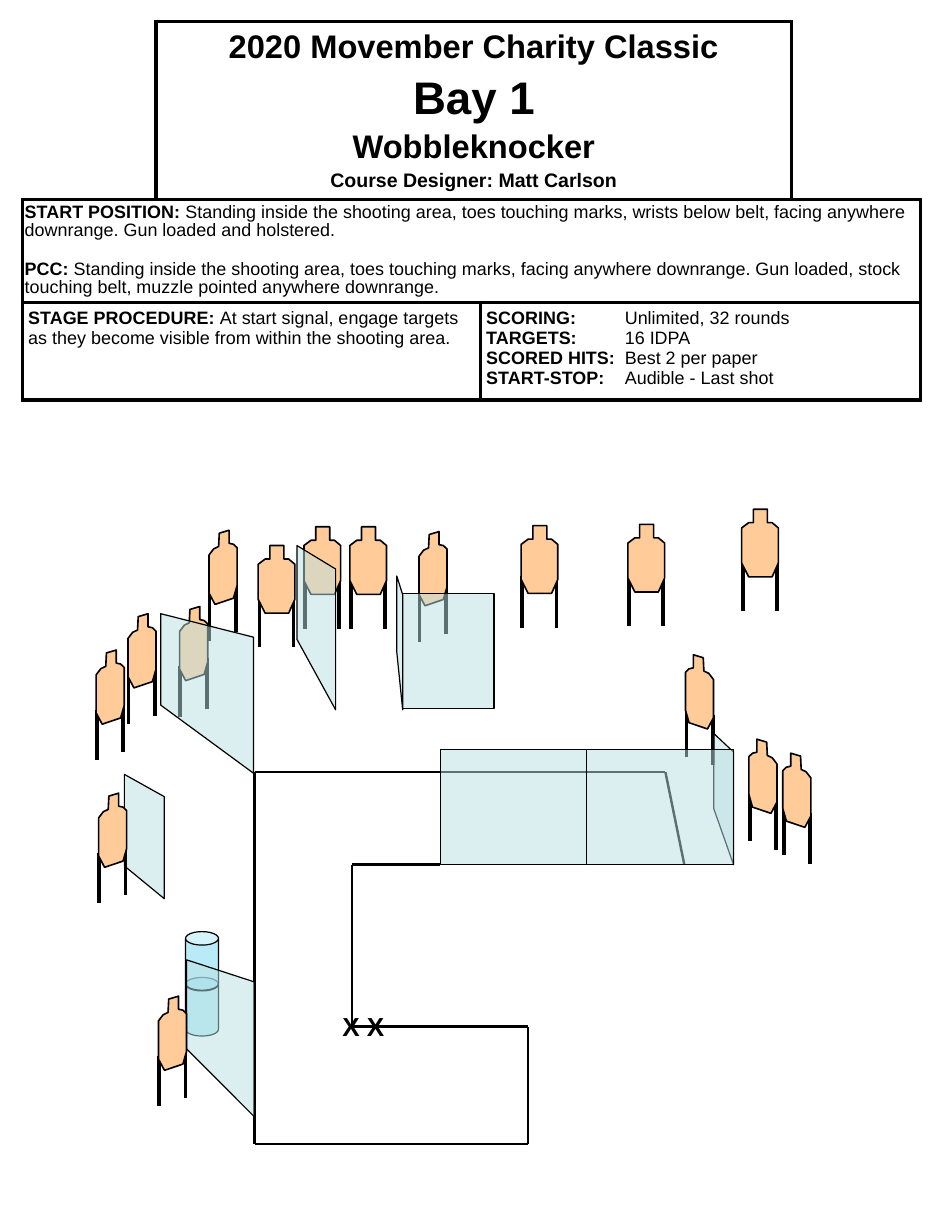
from lxml import etree
from pptx import Presentation
from pptx.dml.color import RGBColor
from pptx.enum.shapes import MSO_CONNECTOR, MSO_SHAPE
from pptx.enum.text import MSO_ANCHOR, PP_ALIGN
from pptx.oxml.ns import qn
from pptx.util import Pt

CAN = MSO_SHAPE.CAN
STRAIGHT = MSO_CONNECTOR.STRAIGHT
MIDDLE, TOP = MSO_ANCHOR.MIDDLE, MSO_ANCHOR.TOP
CENTER, LEFT = PP_ALIGN.CENTER, PP_ALIGN.LEFT

FONT = "Arial"
BLACK, WHITE, TAN, GLASS, BARREL = "000000", "FFFFFF", "FFCC99", "BBE0E3", "73D9F1"

HEADINGS = [("2020 Movember Charity Classic", 20, 0), ("Bay 1", 28, 4.5),
            ("Wobbleknocker", 20, 3), ("Course Designer: Matt Carlson", 12, 3)]
START = [
    ("START POSITION:", " Standing inside the shooting area, toes touching marks, wrists below belt, "
     "facing anywhere downrange. Gun loaded and holstered.", 0),
    ("PCC: ", "Standing inside the shooting area, toes touching marks, facing anywhere downrange. "
     "Gun loaded, stock touching belt, muzzle pointed anywhere downrange.", 13),
]
PROCEDURE = [("STAGE PROCEDURE: ", "At start signal, engage targets as they become visible "
              "from within the shooting area.", 0)]
SCORING = [("SCORING:", "\tUnlimited, 32 rounds", 0), ("TARGETS:", "\t16 IDPA", 0),
           ("SCORED HITS:", "\tBest 2 per paper", 0), ("START-STOP:", "\tAudible - Last shot", 0)]

TABLE_AT = (13.7, 13)
COLUMNS = [82, 199, 191, 79]
ROWS = [109.5, 63, 60]
MERGES = [((0, 1), (0, 2)), ((1, 0), (1, 3)), ((2, 0), (2, 1)), ((2, 2), (2, 3))]
CORNER_BORDERS = {(0, 0): "RB", (0, 3): "LB"}

FRONT = {
    "outline": [(7.2, 0), (15.8, 0), (15.8, 8.3), (18.7, 8.3), (22.5, 11.5), (22.5, 33),
                (18.7, 41.5), (4.3, 41.5), (0, 33), (0, 11.5), (4.3, 8.3), (7.2, 8.3)],
    "legs": [(0.7, 31, 62.5), (21.6, 31, 62.5)],
}
TURNED = {
    "outline": [(6.3, 1.8), (12.3, 0), (12.3, 8), (15, 8.6), (17.2, 10.7), (17.2, 34),
                (15, 41.7), (3.7, 45.5), (0, 38.6), (0, 15.2), (2.9, 11.4), (5.9, 10)],
    "legs": [(0.4, 36.7, 67.7), (16.6, 31.7, 62.7)],
}
MIRRORED = {
    "outline": [(17.2 - x, y) for x, y in TURNED["outline"]],
    "legs": [(17.2 - x, top, bottom) for x, top, bottom in TURNED["legs"]],
}

BARRELS = [(113.8, 599.8), (113.8, 571.7)]
BARREL_SIZE = (20.2, 36)
MARKS = ("X X", 203, 616.3, 41.8, 26.6)

BACK_SCENE = [
    ("target", TURNED, 257, 326.2), ("target", MIRRORED, 420.5, 401.8),
    ("target", TURNED, 128.2, 325.4), ("target", FRONT, 158.4, 334.8),
    ("target", TURNED, 110.2, 372.2),
    ("line", 156.2, 473.8, 408.2, 473.8), ("line", 408.2, 473.8, 419.8, 530.6),
]
FRONT_SCENE = [
    ("line", 156.2, 702, 324, 702),
    ("wall", 437.8, 450, 496.1, 450, 461.5, 530.6),
    ("wall", 360, 460.1, 530.6, 450, 460.1, 530.6),
    ("wall", 270, 460.1, 530.6, 360, 460.1, 530.6),
    ("line", 324, 630, 324, 702), ("line", 216, 630, 324, 630),
    ("line", 156.2, 473.8, 156.2, 702), ("line", 216, 530.6, 216, 630),
    ("line", 216, 530.6, 270, 530.6),
    ("wall", 114.5, 589, 643.7, 156.2, 602.6, 685.4),
    ("target", TURNED, 97.2, 611.3),
    ("wall", 98.6, 376.6, 432.7, 155.5, 391, 474.5),
    ("target", TURNED, 78.5, 376.6),
    ("wall", 247, 364.3, 434.9, 303.1, 364.3, 434.9),
    ("wall", 243.4, 353.5, 400.3, 247, 365, 435.6),
    ("target", FRONT, 186.5, 323.3), ("target", FRONT, 214.6, 323.3),
    ("wall", 182.2, 334.8, 392.4, 205.9, 349.2, 435.6),
    ("wall", 76.3, 475.2, 531.4, 100.8, 488.9, 551.5),
    ("target", TURNED, 60.5, 486.7), ("target", FRONT, 319.7, 322.6),
    ("target", FRONT, 455, 312.5), ("target", MIRRORED, 459.4, 453.6),
    ("target", MIRRORED, 480.2, 462.2), ("target", FRONT, 385.2, 321.8),
    ("target", TURNED, 59, 398.9),
]


def paint(color_format, color):
    color_format.rgb = RGBColor.from_string(color)


def style(shape, fill, width, alpha=None):
    shape.shadow.inherit = False
    shape.fill.solid()
    paint(shape.fill.fore_color, fill)
    paint(shape.line.color, BLACK)
    shape.line.width = Pt(width)
    if alpha:
        color = shape.element.spPr.find(qn("a:solidFill")).find(qn("a:srgbClr"))
        etree.SubElement(color, qn("a:alpha"), val=str(alpha * 1000))


def draw_line(shapes, x1, y1, x2, y2, width=1.5):
    line = shapes.add_connector(STRAIGHT, Pt(x1), Pt(y1), Pt(x2), Pt(y2))
    paint(line.line.color, BLACK)
    line.line.width = Pt(width)
    etree.SubElement(line.element.spPr, qn("a:effectLst"))


def draw_outline(shapes, points, fill, width, alpha=None):
    corners = [(Pt(x), Pt(y)) for x, y in points]
    builder = shapes.build_freeform(*corners[0])
    builder.add_line_segments(corners[1:], close=True)
    style(builder.convert_to_shape(), fill, width, alpha)


def draw_wall(shapes, left, left_top, left_bottom, right, right_top, right_bottom):
    points = [(left, left_bottom), (right, right_bottom), (right, right_top), (left, left_top)]
    draw_outline(shapes, points, GLASS, 0.75, 50)


def draw_target(shapes, kind, left, top):
    members = shapes.add_group_shape().shapes
    for x, start, end in kind["legs"]:
        draw_line(members, left + x, top + start, left + x, top + end, 2.25)
    draw_outline(members, [(left + x, top + y) for x, y in kind["outline"]], TAN, 1)


DRAW = {"line": draw_line, "wall": draw_wall, "target": draw_target}


def draw_scene(shapes, scene):
    for name, *values in scene:
        DRAW[name](shapes, *values)


def write(frame, paragraphs, align=LEFT, spacing=None, tab=None):
    for index, (spans, before) in enumerate(paragraphs):
        para = frame.add_paragraph() if index else frame.paragraphs[0]
        formats = {"alignment": align, "line_spacing": spacing, "space_before": Pt(before)}
        for key, value in formats.items():
            setattr(para, key, value)
        if tab:
            tabs = etree.SubElement(para._p.get_or_add_pPr(), qn("a:tabLst"))
            etree.SubElement(tabs, qn("a:tab"), pos=str(Pt(tab)), algn="l")
        for text, size, bold in spans:
            span = para.add_run()
            span.text = text
            for key, value in {"name": FONT, "size": Pt(size), "bold": bold}.items():
                setattr(span.font, key, value)
            paint(span.font.color, BLACK)


def labelled(entries):
    return [([(label, 11, True), (text, 11, False)], before) for label, text, before in entries]


def set_borders(cell, sides):
    properties = cell._tc.get_or_add_tcPr()
    for index, side in enumerate("LRTB"):
        line = etree.Element(qn("a:ln" + side), w=str(Pt(2.25)))
        if side in sides:
            fill = etree.SubElement(line, qn("a:solidFill"))
            etree.SubElement(fill, qn("a:srgbClr"), val=BLACK)
        else:
            etree.SubElement(line, qn("a:noFill"))
        properties.insert(index, line)


def draw_table(shapes):
    frame = shapes.add_table(len(ROWS), len(COLUMNS), *map(Pt, TABLE_AT),
                             Pt(sum(COLUMNS)), Pt(sum(ROWS)))
    table = frame.table
    table.first_row = table.horz_banding = False
    for column, width in zip(table.columns, COLUMNS):
        column.width = Pt(width)
    for row, height in zip(table.rows, ROWS):
        row.height = Pt(height)
    for first, last in MERGES:
        table.cell(*first).merge(table.cell(*last))
    for row in range(len(ROWS)):
        for column in range(len(COLUMNS)):
            cell = table.cell(row, column)
            cell.fill.solid()
            paint(cell.fill.fore_color, WHITE)
            set_borders(cell, CORNER_BORDERS.get((row, column), "LRTB"))
    headings = [([(text, size, True)], before) for text, size, before in HEADINGS]
    contents = [
        ((0, 1), headings, 3.6, 3.6, MIDDLE, {"align": CENTER}),
        ((1, 0), labelled(START), 1.5, 2.9, TOP, {"spacing": 0.9}),
        ((2, 0), labelled(PROCEDURE), 3.6, 3.6, TOP, {}),
        ((2, 2), labelled(SCORING), 3.6, 3.6, TOP, {"tab": 85}),
    ]
    for place, paragraphs, side, edge, anchor, options in contents:
        cell = table.cell(*place)
        formats = {"margin_left": Pt(side), "margin_right": Pt(side), "margin_top": Pt(edge),
                   "margin_bottom": Pt(edge), "vertical_anchor": anchor}
        for key, value in formats.items():
            setattr(cell, key, value)
        write(cell.text_frame, paragraphs, **options)


def main():
    deck = Presentation()
    deck.slide_width, deck.slide_height = Pt(576), Pt(756)
    shapes = deck.slides.add_slide(deck.slide_layouts[6]).shapes
    barrels = shapes.add_group_shape().shapes
    for left, top in BARRELS:
        barrel = barrels.add_shape(CAN, Pt(left), Pt(top), *map(Pt, BARREL_SIZE))
        barrel.adjustments[0] = 0.41
        style(barrel, BARREL, 0.75, 50)
    draw_scene(shapes, BACK_SCENE)
    draw_table(shapes)
    text, *place = MARKS
    box = shapes.add_textbox(*map(Pt, place))
    box.text_frame.word_wrap = True
    write(box.text_frame, [([(text, 16, True)], 0)])
    draw_scene(shapes, FRONT_SCENE)
    deck.save("out.pptx")


if __name__ == "__main__":
    main()
